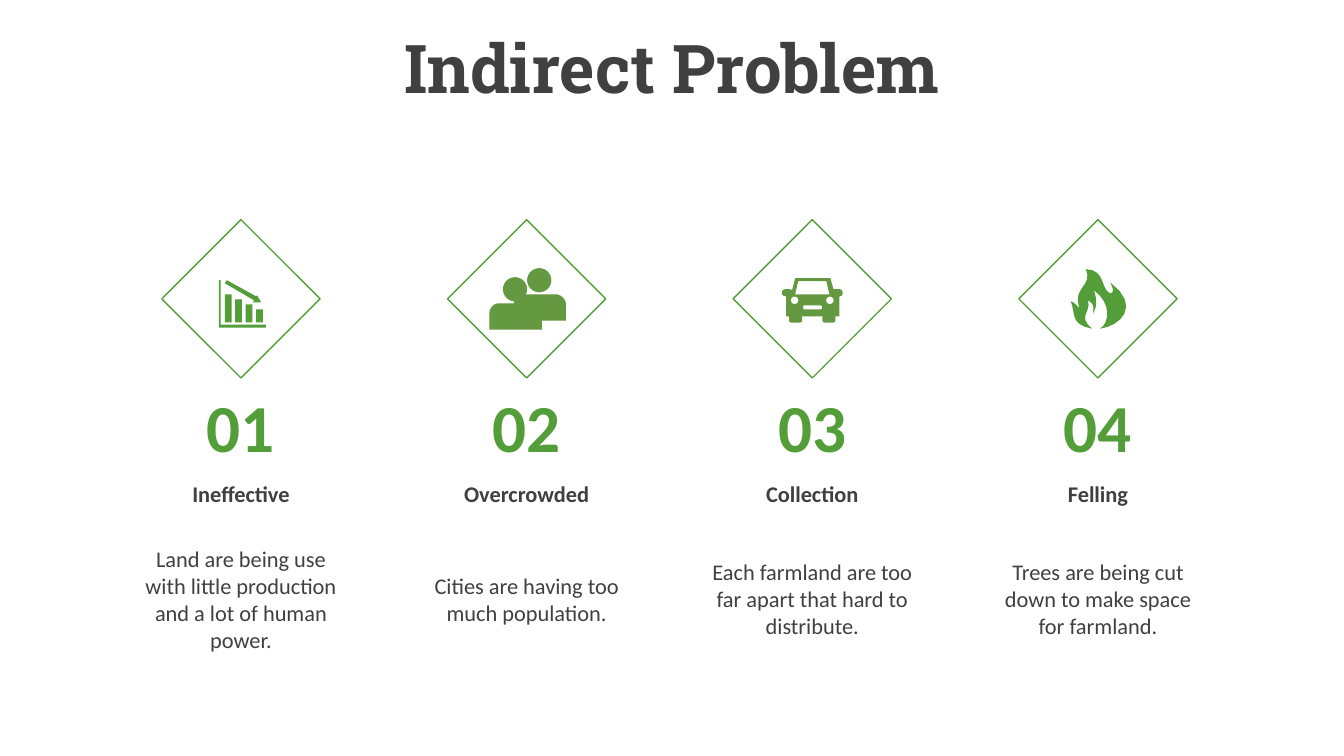
from pptx import Presentation
from pptx.dml.color import RGBColor
from pptx.enum.shapes import MSO_SHAPE
from pptx.enum.text import MSO_ANCHOR, PP_ALIGN
from pptx.util import Inches, Pt

GREEN = RGBColor(0x54, 0x9E, 0x39)
OLIVE = RGBColor(0x64, 0x99, 0x41)
DARK = RGBColor(0x40, 0x40, 0x40)
WHITE = RGBColor(0xFF, 0xFF, 0xFF)

COLUMN_WIDTH = 2.28
FIRST_LEFT, LAST_LEFT = 1.25, 9.75
DIAMOND_TOP, DIAMOND_SIZE = 2.18, 1.57
CURVE_STEPS = 8
UNITS = 100  # grid steps per hundredth of an inch


# Outlines are lists of contours in hundredths of an inch.
# A pair is a corner; six numbers are a Bezier curve from the previous point.
def rectangle(left, top, right, bottom):
    return [(left, top), (right, top), (right, bottom), (left, bottom)]


def circle(x, y, radius):
    k = radius * 0.55
    return [
        (x, y - radius),
        (x + k, y - radius, x + radius, y - k, x + radius, y),
        (x + radius, y + k, x + k, y + radius, x, y + radius),
        (x - k, y + radius, x - radius, y + k, x - radius, y),
        (x - radius, y - k, x - k, y - radius, x, y - radius),
    ]


FALLING_CHART = [
    *[rectangle(6 + 10.33 * i, 14 + 5 * i, 12.7 + 10.33 * i, 42) for i in range(4)],
    [(8, 0), (37, 16), (38, 15), (42, 22), (34, 22), (35, 20), (6, 3)],
    [(0, 0), (2, 0), (2, 44), (47, 44), (47, 47), (0, 47)],
]
PERSON = [
    [(9, 26), (42, 26), (47, 26, 52, 31, 52, 36), (52, 52), (0, 52),
     (0, 36), (0, 31, 4, 26, 9, 26)],
    circle(25.5, 12, 12),
]
CAR = [
    [(22, 27), (20.5, 27, 20.5, 31, 22, 31), (38, 31), (40.5, 31, 40.5, 27, 38, 27)],
    circle(12.5, 22, 3.7),
    circle(47.5, 22, 3.7),
    [(16, 3), (13, 16), (47, 16), (44, 3)],
    [(13, 0), (48, 0), (51, 11), (57, 11), (59, 11, 60, 12, 60, 14), (60, 15),
     (60, 17, 59, 18, 57, 18), (57, 38), (53, 38), (53, 42), (53, 43, 52, 44, 51, 44),
     (42, 44), (41, 44, 40, 43, 40, 42), (40, 38), (20, 38), (20, 42),
     (20, 43, 19, 44, 18, 44), (9, 44), (8, 44, 7, 43, 7, 42), (7, 38), (4, 38),
     (4, 18), (2, 18, 0, 17, 0, 15), (0, 14), (0, 12, 2, 11, 3, 11), (7, 11),
     (8, 11, 9, 11, 10, 12)],
]
FLAME = [
    [(21, 59), (-1, 55, 5, 44, 0, 32), (4, 32, 10, 42, 8, 37), (2, 18, 22, 17, 15, 0),
     (35, 1, 29, 19, 39, 24), (41, 24, 44, 22, 39, 13), (71, 37, 48, 57, 29, 59),
     (38, 54, 41, 34, 23, 21), (27, 33, 25, 39, 22, 44), (22, 41, 25, 35, 17, 31),
     (21, 43, 6, 46, 21, 59)],
]

# Heading, text, number of text lines, icon colour,
# and icons as (outline, offset from column centre, offset from diamond top)
PROBLEMS = [
    ("Ineffective", "Land are being use with little production and a lot of human power.",
     4, GREEN, [(FALLING_CHART, -0.22, 0.6)]),
    ("Overcrowded", "Cities are having too much population.",
     2, OLIVE, [(PERSON, -0.37, 0.57), (PERSON, -0.13, 0.48)]),
    ("Collection", "Each farmland are too far apart that hard to distribute.",
     3, OLIVE, [(CAR, -0.3, 0.58)]),
    ("Felling", "Trees are being cut down to make space for farmland.",
     3, GREEN, [(FLAME, -0.27, 0.49)]),
]


def flatten(contour):
    points = [contour[0]]
    for segment in contour[1:]:
        if len(segment) == 2:
            points.append(segment)
            continue
        x0, y0 = points[-1]
        x1, y1, x2, y2, x3, y3 = segment
        for step in range(1, CURVE_STEPS + 1):
            t = step / CURVE_STEPS
            a, b, c, d = (1 - t) ** 3, 3 * t * (1 - t) ** 2, 3 * t * t * (1 - t), t ** 3
            points.append((a * x0 + b * x1 + c * x2 + d * x3,
                           a * y0 + b * y1 + c * y2 + d * y3))
    return [(x * UNITS, y * UNITS) for x, y in points]


def add_icon(slide, outline, left, top, color):
    contours = [flatten(contour) for contour in outline]
    builder = slide.shapes.build_freeform(*contours[0][0], scale=Inches(1) / (100 * UNITS))
    builder.add_line_segments(contours[0][1:], close=True)
    for points in contours[1:]:
        builder.move_to(*points[0])
        builder.add_line_segments(points[1:], close=True)
    icon = builder.convert_to_shape(Inches(left), Inches(top))
    icon.shadow.inherit = False
    icon.fill.solid()
    icon.fill.fore_color.rgb = color
    icon.line.fill.background()


def write_text(shape, text, size, color, bold=False, font_name="Calibri"):
    frame = shape.text_frame
    frame.text = text
    frame.word_wrap = True
    frame.vertical_anchor = MSO_ANCHOR.MIDDLE
    paragraph = frame.paragraphs[0]
    paragraph.alignment = PP_ALIGN.CENTER
    font = paragraph.runs[0].font
    font.name, font.size, font.bold = font_name, Pt(size), bold
    font.color.rgb = color


def add_label(slide, center, top, width, height, *style):
    box = slide.shapes.add_textbox(
        Inches(center - width / 2), Inches(top), Inches(width), Inches(height))
    write_text(box, *style)


def add_title(slide, left, top, width, height):
    title = slide.shapes.title
    title.left, title.top = Inches(left), Inches(top)
    title.width, title.height = Inches(width), Inches(height)
    write_text(title, "Indirect Problem", 48, DARK, True, "Roboto Slab")
    title.text_frame.paragraphs[0].line_spacing = 0.9


def add_problem(slide, left, top, number, problem):
    heading, text, line_count, icon_color, icons = problem
    center = left + COLUMN_WIDTH / 2

    # Diamond with its icon
    diamond = slide.shapes.add_shape(
        MSO_SHAPE.DIAMOND, Inches(center - DIAMOND_SIZE / 2), Inches(top),
        Inches(DIAMOND_SIZE), Inches(DIAMOND_SIZE))
    diamond.shadow.inherit = False
    diamond.fill.solid()
    diamond.fill.fore_color.rgb = WHITE
    diamond.line.color.rgb = GREEN
    diamond.line.width = Pt(1)
    for outline, dx, dy in icons:
        add_icon(slide, outline, center + dx, top + dy, icon_color)

    # Number, heading and text
    add_label(slide, center, top + 1.59, 1.26, 0.91, f"{number:02}", 48, GREEN, True)
    add_label(slide, center, top + 2.53, COLUMN_WIDTH, 0.37, heading, 16, DARK, True)
    height = 0.1 + 0.27 * line_count
    add_label(slide, center, top + 3.76 - height / 2, 2.25, height, text, 16, DARK)


def main():
    presentation = Presentation()
    presentation.slide_width = Inches(13.33)
    presentation.slide_height = Inches(7.5)
    slide = presentation.slides.add_slide(presentation.slide_layouts[5])

    add_title(slide, 0, 0.29, 13.33, 0.84)
    pitch = (LAST_LEFT - FIRST_LEFT) / (len(PROBLEMS) - 1)
    for index, problem in enumerate(PROBLEMS):
        add_problem(slide, FIRST_LEFT + index * pitch, DIAMOND_TOP, index + 1, problem)

    presentation.save("out.pptx")


if __name__ == "__main__":
    main()
